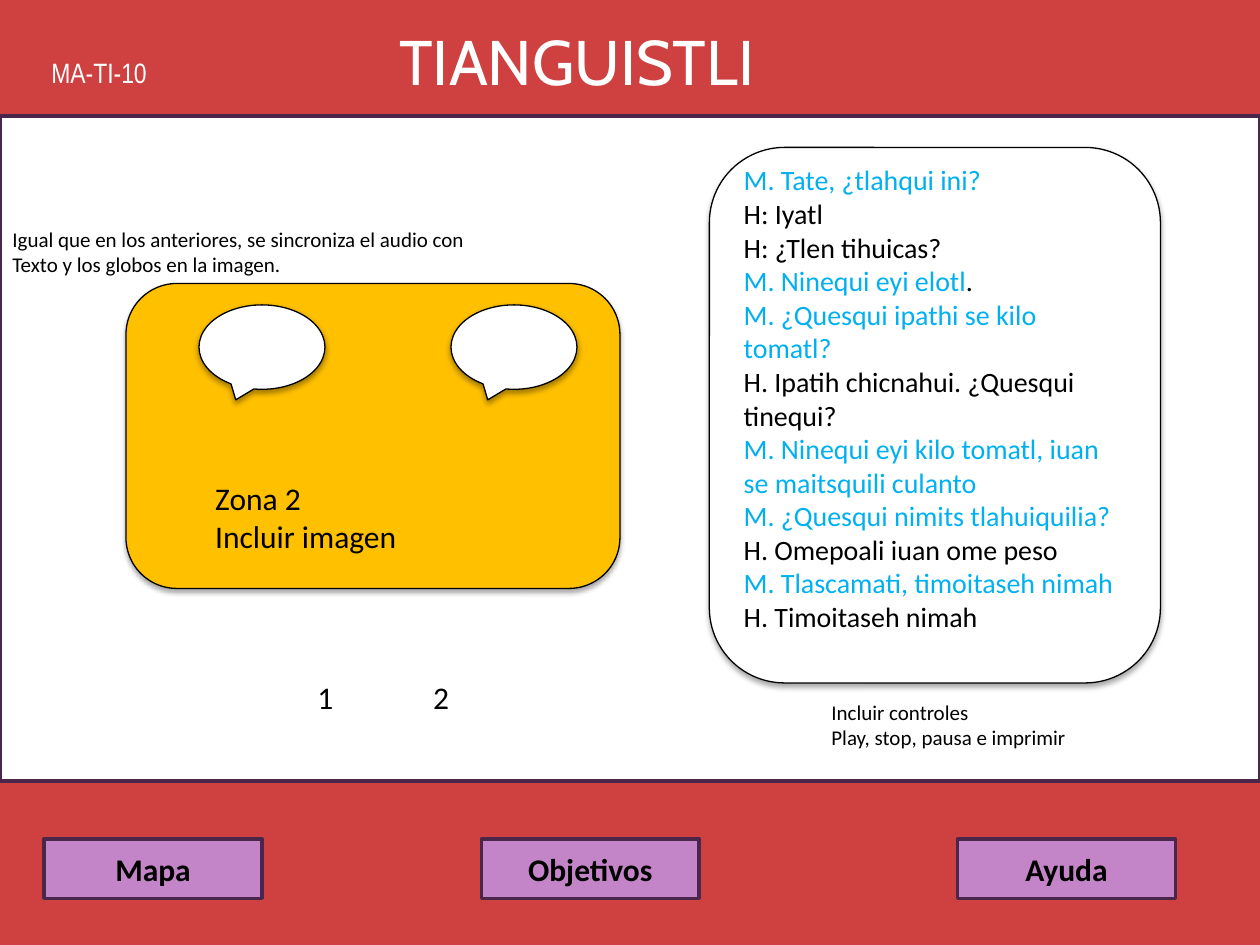
from lxml import etree
from pptx import Presentation
from pptx.dml.color import RGBColor
from pptx.enum.shapes import MSO_SHAPE as Shape
from pptx.enum.text import MSO_ANCHOR as Anchor, PP_ALIGN as Align
from pptx.oxml.ns import qn
from pptx.util import Inches, Pt

RED, WHITE, BLACK = "CF4040", "FFFFFF", "000000"
PURPLE, LILAC, AMBER, BLUE = "4B264B", "C384C8", "FFC000", "00B0F0"

# Each line is a list of (text, colour) runs
DIALOGUE = [
    [("M. Tate, ¿tlahqui ini?", BLUE)],
    [("H: Iyatl", BLACK)],
    [("H: ¿Tlen tihuicas?", BLACK)],
    [("M. Ninequi eyi elotl", BLUE), (".", BLACK)],
    [("M. ¿Quesqui ipathi se kilo tomatl?", BLUE)],
    [("H. Ipatih chicnahui. ¿Quesqui tinequi?", BLACK)],
    [("M. Ninequi eyi kilo tomatl, iuan se maitsquili culanto", BLUE)],
    [("M. ¿Quesqui nimits tlahuiquilia?", BLUE)],
    [("H. Omepoali iuan ome peso", BLACK)],
    [("M. Tlascamati, timoitaseh nimah", BLUE)],
    [("H. Timoitaseh nimah", BLACK)],
]


def rgb(value):
    return RGBColor.from_string(value)


def write(frame, lines, size, color=BLACK, font="Calibri", bold=False, align=Align.LEFT):
    for index, line in enumerate(lines):
        paragraph = frame.paragraphs[0] if index == 0 else frame.add_paragraph()
        paragraph.alignment = align
        paragraph.font.name = font
        paragraph.font.size = Pt(size)
        paragraph.font.bold = bold
        runs = [(line, color)] if isinstance(line, str) else line
        for text, run_color in runs:
            run = paragraph.add_run()
            run.text = text
            run.font.color.rgb = rgb(run_color)


def add_label(slide, box, lines, size, wrap=False, **style):
    label = slide.shapes.add_textbox(*map(Inches, box))
    label.text_frame.word_wrap = wrap
    write(label.text_frame, lines, size, **style)


def add_panel(slide, kind, box, fill, line=BLACK, width=0.75):
    panel = slide.shapes.add_shape(kind, *map(Inches, box))
    panel.shadow.inherit = False
    panel.fill.solid()
    panel.fill.fore_color.rgb = rgb(fill)
    panel.line.color.rgb = rgb(line)
    panel.line.width = Pt(width)
    return panel


def add_shadow(panel):
    effects = panel._element.spPr.find(qn("a:effectLst"))
    shadow = etree.SubElement(effects, qn("a:outerShdw"), blurRad=str(Pt(3.1)),
                              dist=str(Pt(1.8)), dir="5400000", rotWithShape="0")
    color = etree.SubElement(shadow, qn("a:srgbClr"), val=BLACK)
    etree.SubElement(color, qn("a:alpha"), val="35000")


def add_title(slide, box, text):
    title = slide.shapes.title
    title.left, title.top, title.width, title.height = map(Inches, box)
    title.text_frame.word_wrap = False
    title.text_frame.vertical_anchor = Anchor.TOP
    write(title.text_frame, [text], 36, color=WHITE, font="Cabin")


def add_button(slide, left, text):
    button = add_panel(slide, Shape.RECTANGLE, (left, 6.66, 1.73, 0.47), LILAC, PURPLE, 2)
    button.text_frame.vertical_anchor = Anchor.MIDDLE
    write(button.text_frame, [text], 18, bold=True, align=Align.CENTER)


def add_dialogue(slide):
    dialogue = add_panel(slide, Shape.ROUNDED_RECTANGLE, (5.63, 1.17, 3.58, 4.25), WHITE)
    add_shadow(dialogue)
    frame = dialogue.text_frame
    frame.word_wrap = True
    frame.vertical_anchor = Anchor.MIDDLE
    frame.margin_bottom = Inches(0.32)  # lifts the text above the middle
    write(frame, DIALOGUE, 16)


def main():
    prs = Presentation()
    prs.slide_width, prs.slide_height = Inches(10), Inches(7.5)
    slide = prs.slides.add_slide(prs.slide_layouts[5])
    slide.background.fill.solid()
    slide.background.fill.fore_color.rgb = rgb(RED)

    # Header and work area
    add_title(slide, (3.07, 0.13, 3.57, 0.71), "TIANGUISTLI")
    add_label(slide, (0.31, 0.39, 1.3, 0.37), ["MA-TI-10"], 16, wrap=True,
              color=WHITE, font="Arial Narrow")
    add_panel(slide, Shape.RECTANGLE, (0, 0.92, 10, 5.28), WHITE, PURPLE, 2)

    # Image zone with speech balloons
    add_label(slide, (0, 1.75, 3.82, 0.5),
              ["Igual que en los anteriores, se sincroniza el audio con",
               "Texto y los globos en la imagen."], 12)
    add_shadow(add_panel(slide, Shape.ROUNDED_RECTANGLE, (1, 2.25, 3.92, 2.42), AMBER))
    for left in (1.58, 3.58):
        add_shadow(add_panel(slide, Shape.OVAL_CALLOUT, (left, 2.42, 1, 0.67), WHITE))
    add_label(slide, (1.61, 3.75, 1.65, 0.71), ["Zona 2", "Incluir imagen"], 18)
    for left, number in ((2.42, "1"), (3.34, "2")):
        add_label(slide, (left, 5.33, 0.33, 0.4), [number], 18)

    # Dialogue and its controls
    add_dialogue(slide)
    add_label(slide, (6.5, 5.5, 2.08, 0.5),
              ["Incluir controles", "Play, stop, pausa e imprimir"], 12)

    # Navigation
    for left, text in ((0.35, "Mapa"), (3.82, "Objetivos"), (7.6, "Ayuda")):
        add_button(slide, left, text)

    prs.save("out.pptx")


if __name__ == "__main__":
    main()
